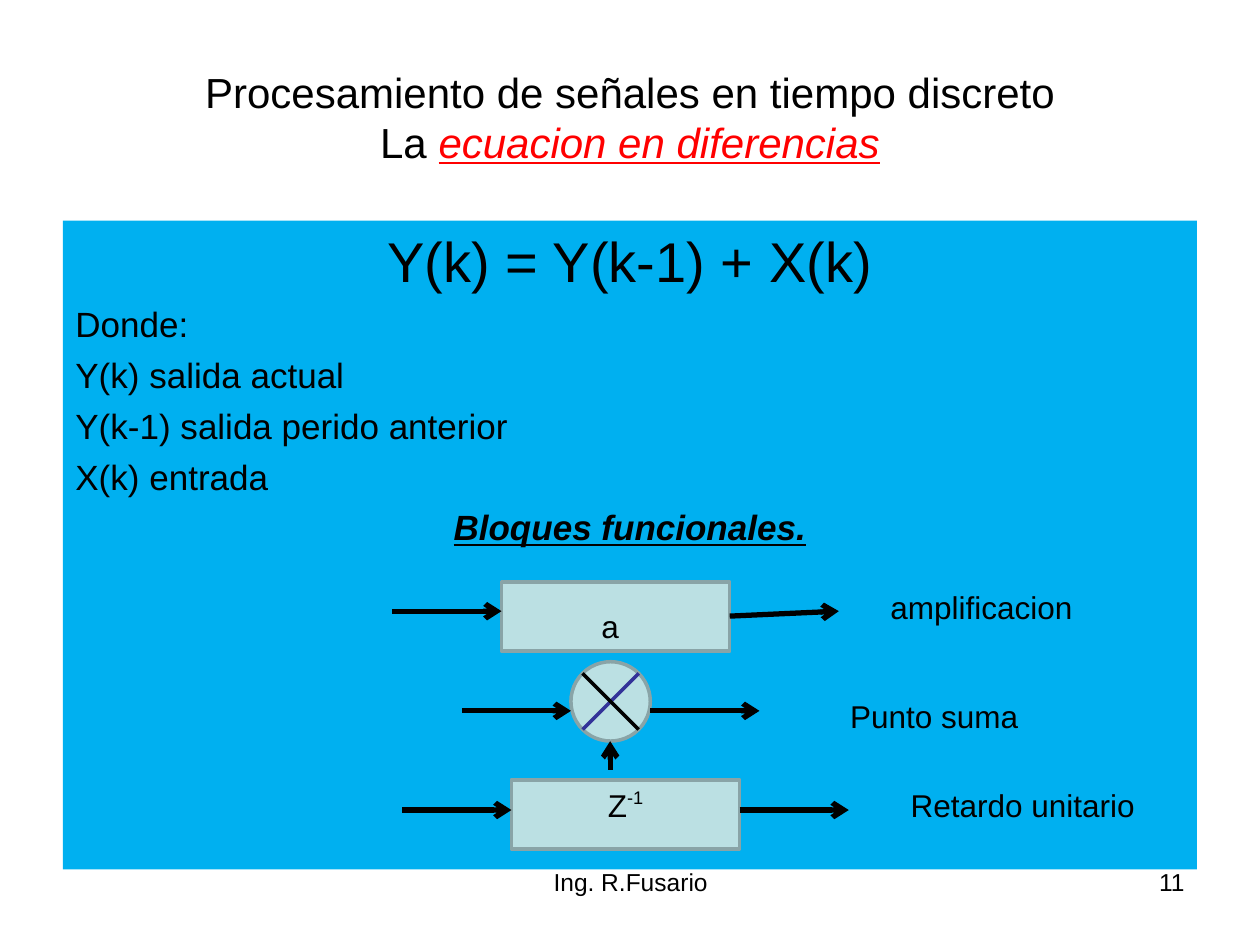
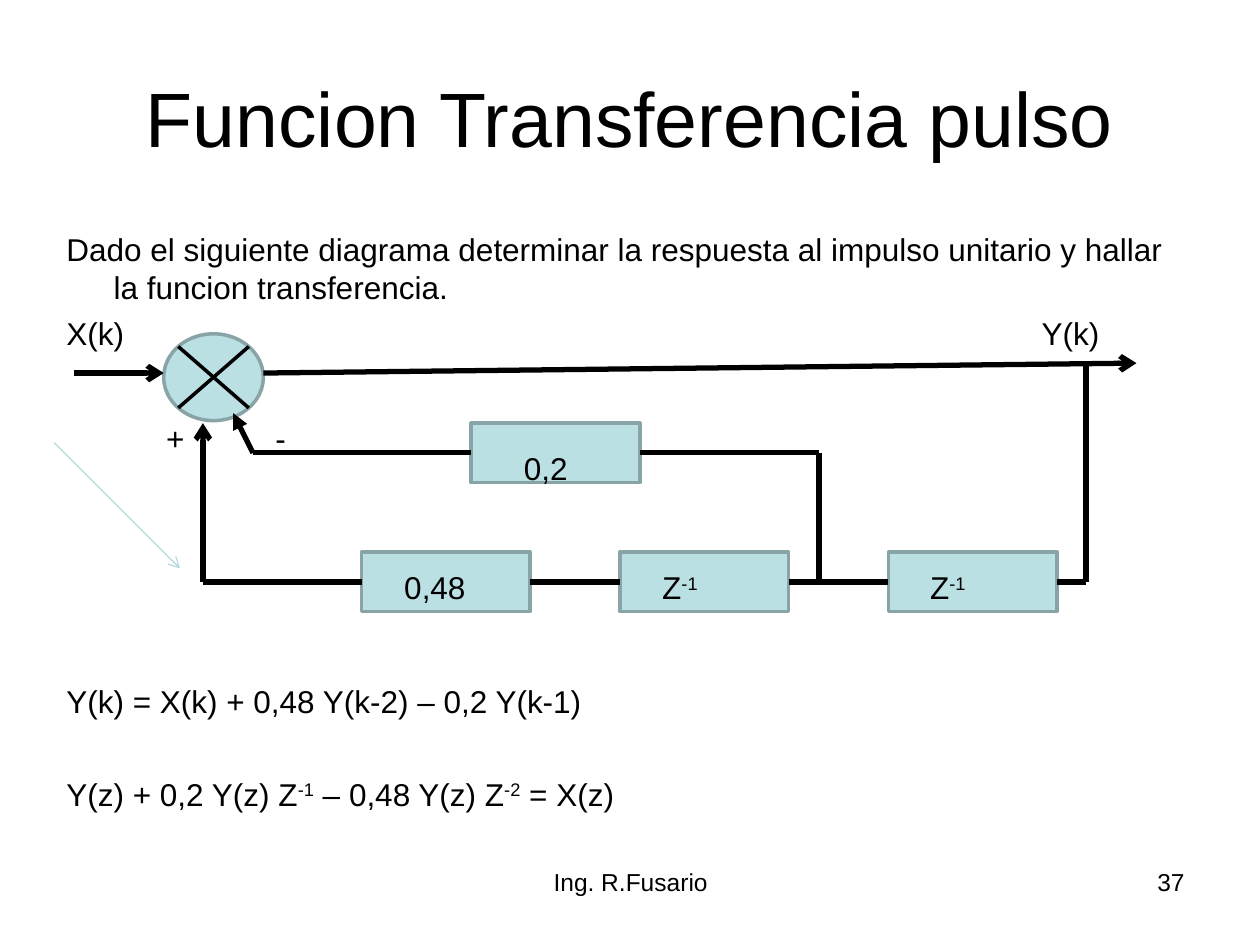
"""Builds two slides on difference equations and the pulse transfer function."""
from math import sqrt

from lxml.etree import SubElement
from pptx import Presentation
from pptx.dml.color import RGBColor
from pptx.enum.shapes import MSO_CONNECTOR, MSO_SHAPE
from pptx.enum.text import MSO_ANCHOR, PP_ALIGN
from pptx.oxml.ns import qn
from pptx.util import Cm, Pt

HUES = {"ink": "000000", "red": "FF0000", "sky": "00B0F0", "pale": "BBE0E3",
        "edge": "89A4A7", "blue": "333399", "mist": "B6DCDF"}
FONT = "Arial"
ALIGN = {"left": PP_ALIGN.LEFT, "center": PP_ALIGN.CENTER, "right": PP_ALIGN.RIGHT}
KINDS = {"rect": MSO_SHAPE.RECTANGLE, "oval": MSO_SHAPE.OVAL}

TITLE_BOX = (1.27, 0.76, 22.86, 3.18)
NAME_BOX = (8.69, 17.35, 8.05, 1.32)
PAGE_BOX = (18.21, 17.35, 5.92, 1.32)
AUTHOR = "Ing. R.Fusario"
LABEL_H = 1.02

EQ_TITLE = ["Procesamiento de señales en tiempo discreto\vLa ",
            ("ecuacion en diferencias", "key")]
EQ_BOX = (1.27, 4.45, 22.86, 13.08)
EQ_BODY = [
    {"runs": ["Y(k) = Y(k-1) + X(k)"], "size": 32, "align": "center"},
    {"runs": ["Donde:"], "before": 5},
    {"runs": ["Y(k) salida actual"], "before": 5},
    {"runs": ["Y(k-1) salida perido anterior"], "before": 5},
    {"runs": ["X(k) entrada"], "before": 5},
    {"runs": ["", ("Bloques funcionales.", "head")], "before": 5, "align": "center"},
]
REACH = 2.2
PARTS = [
    {"kind": "rect", "box": (10.11, 11.73, 4.6, 1.4), "flow": 12.32, "drop": 0.1},
    {"kind": "rect", "box": (10.31, 15.72, 4.6, 1.4), "flow": 16.33, "drop": 0},
    {"kind": "oval", "box": (11.51, 13.34, 1.6, 1.6), "flow": 14.33, "drop": 0},
]
EQ_LABELS = [
    (17.7, 11.73, 5.8, "left", ["amplificacion"]),
    (11.3, 12.12, 2, "center", ["a"]),
    (11.51, 15.72, 2.2, "center", ["Z", ("-1", "high")]),
    (18.11, 15.72, 5.8, "left", ["Retardo unitario"]),
    (16.89, 13.92, 4.6, "left", ["Punto suma"]),
]

PULSE_TITLE = ["Funcion Transferencia pulso"]
PULSE_BOX = (1.09, 4.52, 22.86, 12.57)
PULSE_BODY = [
    {"runs": ["Dado el siguiente diagrama determinar la respuesta al impulso "
              "unitario y hallar la funcion transferencia."], "hang": 0.95},
    {"runs": ["X(k)\tY(k)"], "before": 4.5, "tab": 19.66},
    {"runs": ["Y(k) = X(k) + 0,48 Y(k-2) – 0,2 Y(k-1)"], "before": 189},
    {"runs": ["Y(z) + 0,2 Y(z) Z", ("-1", "sup"), " – 0,48 Y(z) Z", ("-2", "sup"),
              " = X(z)"], "before": 31},
]
BLOCK_W, BLOCK_H = 3.4, 1.2
ROWS = [
    {"top": 8.53, "lefts": [9.5], "ends": (5.1, 16.51)},
    {"top": 11.13, "lefts": [7.29, 12.5, 17.91], "ends": (4.09, 21.89)},
]
SUM_BOX = (3.3, 6.73, 2.01, 1.75)
WIRES = [
    ((1.5, 7.52), (3.3, 7.52), "arrow"),
    ((5.31, 7.52), (22.91, 7.32), "arrow"),
    ((4.09, 11.73), (4.09, 8.53), "arrow"),
    ((16.51, 11.73), (16.51, 9.13), None),
    ((21.89, 11.73), (21.89, 7.32), None),
    ((5.1, 9.13), (4.7, 8.33), "triangle"),
]
PULSE_LABELS = [
    (3.1, 8.33, 0.8, "left", ["+"]),
    (5.3, 8.33, 1.4, "left", ["-"]),
    (10.31, 8.92, 2, "left", ["0,2"]),
    (7.9, 11.33, 2.4, "left", ["0,48"]),
    (13.1, 11.33, 2.4, "left", ["Z", ("-1", "sup")]),
    (18.5, 11.33, 2.6, "left", ["Z", ("-1", "sup")]),
]


def color(name):
    return RGBColor.from_string(HUES[name])


def style(run, look):
    font = run.font
    if look in ("key", "head"):
        font.italic = font.underline = True
        font.bold = look == "head"
    if look == "key":
        font.color.rgb = color("red")
    if look in ("sup", "high"):
        lift = {"sup": "30000", "high": "40000"}[look]
        run._r.get_or_add_rPr().set("baseline", lift)


def fill_para(para, item, size, align):
    first, *rest = item["runs"]
    props = para._p.get_or_add_pPr()
    if "hang" in item:
        props.set("marL", str(Cm(item["hang"])))
        props.set("indent", str(-Cm(item["hang"])))
    if "tab" in item:
        stops = SubElement(props, qn("a:tabLst"))
        SubElement(stops, qn("a:tab"), pos=str(Cm(item["tab"])), algn="l")
    para.text = first
    para.alignment = ALIGN[item.get("align", align)]
    para.space_before = Pt(item.get("before", 0))
    looks = [None] * len(para.runs)
    for part in rest:
        words, look = part if isinstance(part, tuple) else (part, None)
        para.add_run().text = words
        looks.append(look)
    for run, look in zip(para.runs, looks):
        run.font.name = FONT
        run.font.size = Pt(item.get("size", size))
        run.font.color.rgb = color("ink")
        style(run, look)


def add_text(slide, box, items, size, align="left", anchor=MSO_ANCHOR.TOP):
    shape = slide.shapes.add_textbox(*map(Cm, box))
    frame = shape.text_frame
    frame.word_wrap = True
    frame.vertical_anchor = anchor
    for i, item in enumerate(items):
        para = frame.add_paragraph() if i else frame.paragraphs[0]
        fill_para(para, item, size, align)
    return shape


def add_labels(slide, labels):
    for left, top, width, align, runs in labels:
        add_text(slide, (left, top, width, LABEL_H), [{"runs": runs}], 18, align)


def add_line(slide, start, end, tip=None, hue="ink", width=3):
    line = slide.shapes.add_connector(MSO_CONNECTOR.STRAIGHT, *map(Cm, start + end))
    line.line.color.rgb = color(hue)
    line.line.width = Pt(width)
    props = line._element.spPr
    if tip:
        SubElement(props.find(qn("a:ln")), qn("a:tailEnd"), type=tip)
    SubElement(props, qn("a:effectLst"))


def add_block(slide, kind, box):
    shape = slide.shapes.add_shape(KINDS[kind], *map(Cm, box))
    shape.shadow.inherit = False
    shape.fill.solid()
    shape.fill.fore_color.rgb = color("pale")
    shape.line.color.rgb = color("edge")
    shape.line.width = Pt(2)


def add_cross(slide, box, rise):
    left, top, width, height = box
    inset = (1 - 1 / sqrt(2)) / 2
    x1, x2 = left + width * inset, left + width * (1 - inset)
    y1, y2 = top + height * inset, top + height * (1 - inset)
    add_line(slide, (x2, y1), (x1, y2), hue=rise, width=2)
    add_line(slide, (x1, y1), (x2, y2), width=2)


def add_slide(deck, title, size, page):
    slide = deck.slides.add_slide(deck.slide_layouts[6])
    add_text(slide, TITLE_BOX, [{"runs": title}], size, "center", MSO_ANCHOR.MIDDLE)
    add_text(slide, NAME_BOX, [{"runs": [AUTHOR]}], 14, "center")
    add_text(slide, PAGE_BOX, [{"runs": [page]}], 14, "right")
    return slide


def draw_eq(deck):
    slide = add_slide(deck, EQ_TITLE, 24, "11")
    panel = add_text(slide, EQ_BOX, EQ_BODY, 20)
    panel.fill.solid()
    panel.fill.fore_color.rgb = color("sky")
    for part in PARTS:
        left, _, width, _ = part["box"]
        right, flow = left + width, part["flow"]
        add_block(slide, part["kind"], part["box"])
        add_line(slide, (left - REACH, flow), (left, flow), "arrow")
        add_line(slide, (right, flow + part["drop"]), (right + REACH, flow), "arrow")
    add_line(slide, (12.3, 15.52), (12.3, 14.94), "arrow")
    add_cross(slide, PARTS[-1]["box"], "blue")
    add_labels(slide, EQ_LABELS)


def draw_pulse(deck):
    slide = add_slide(deck, PULSE_TITLE, 44, "37")
    add_text(slide, PULSE_BOX, PULSE_BODY, 18)
    for row in ROWS:
        start, stop = row["ends"]
        mid = row["top"] + BLOCK_H / 2
        edges = [start]
        for left in row["lefts"]:
            add_block(slide, "rect", (left, row["top"], BLOCK_W, BLOCK_H))
            edges += [left, left + BLOCK_W]
        edges.append(stop)
        for x1, x2 in zip(edges[::2], edges[1::2]):
            add_line(slide, (x1, mid), (x2, mid))
    add_block(slide, "oval", SUM_BOX)
    for start, end, tip in WIRES:
        add_line(slide, start, end, tip)
    add_line(slide, (1.09, 8.92), (3.63, 11.46), "arrow", "mist", 0.75)
    add_cross(slide, SUM_BOX, "ink")
    add_labels(slide, PULSE_LABELS)


def main():
    deck = Presentation()
    deck.slide_width, deck.slide_height = Cm(25.4), Cm(19.05)
    draw_eq(deck)
    draw_pulse(deck)
    deck.save("out.pptx")


if __name__ == "__main__":
    main()
